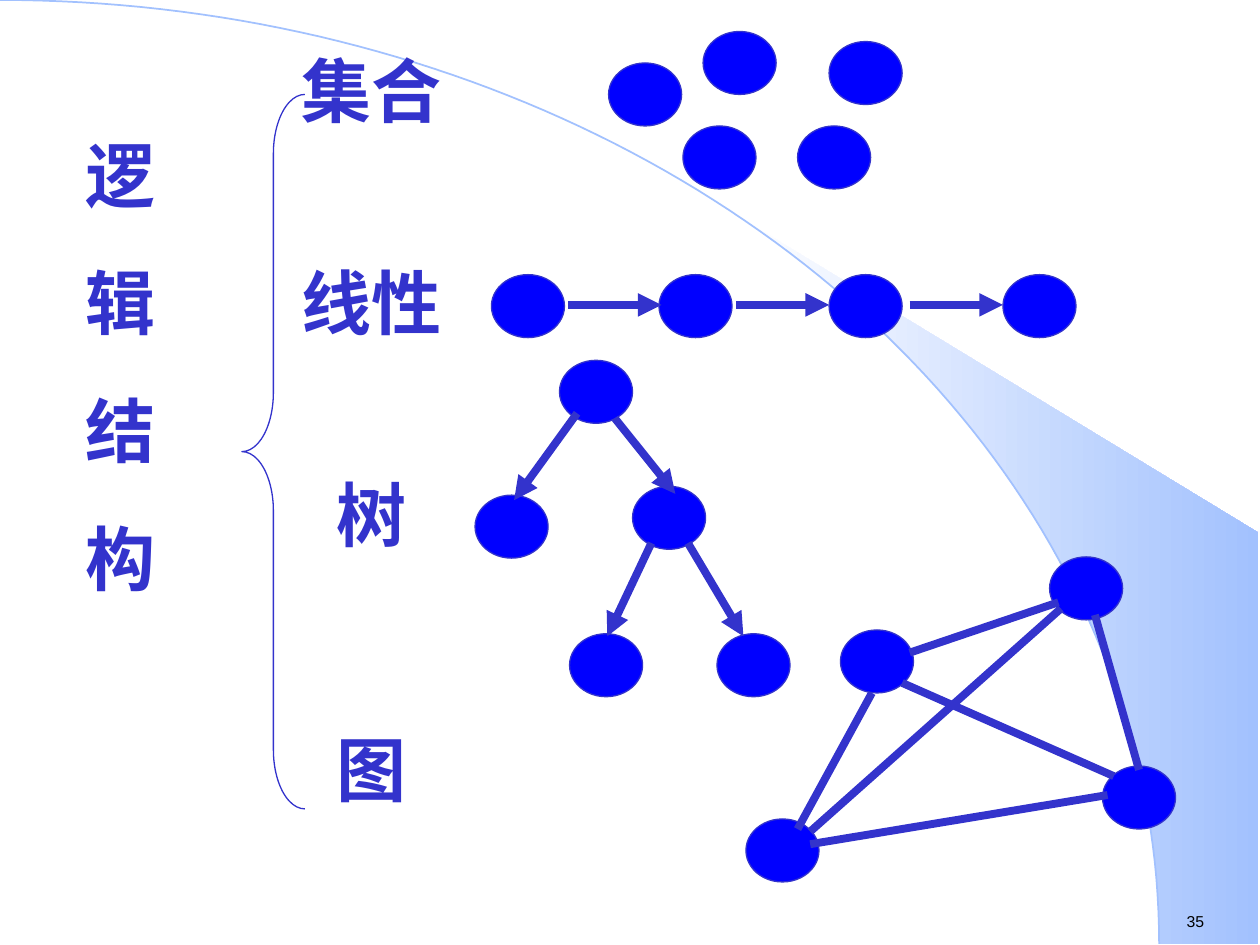
from dataclasses import dataclass
from math import asin, cos, pi, sin

from lxml.etree import SubElement
from pptx import Presentation
from pptx.dml.color import RGBColor as Rgb
from pptx.enum.shapes import MSO_CONNECTOR as Conn, MSO_SHAPE as Shape
from pptx.enum.text import PP_ALIGN as Align
from pptx.oxml.ns import qn
from pptx.util import Inches, Pt

Point = tuple[float, float]
Edge = tuple[Point, Point]


@dataclass(frozen=True)
class Theme:
    ink: Rgb = Rgb(0x33, 0x33, 0xCC)
    node: Rgb = Rgb(0, 0, 0xFF)
    sky: Rgb = Rgb(0xA2, 0xC1, 0xFE)
    white: Rgb = Rgb(0xFF, 0xFF, 0xFF)
    black: Rgb = Rgb(0, 0, 0)
    serif: str = "Times New Roman"
    sans: str = "Arial"
    big: int = 40
    small: int = 9
    thin: float = 0.75
    thick: float = 4.5


@dataclass(frozen=True)
class Graph:
    nodes: list[Point]
    edges: list[Edge]
    arrow: bool = True


@dataclass(frozen=True)
class Label:
    box: tuple[float, float, float, float]
    words: list[str]
    gaps: list[int]


T = Theme()
NODE_W, NODE_H = 0.58, 0.5
ARC_W, ARC_H = 9.2, 7.49

ROW, MID = 2.18, 2.42
GRAPHS = [
    # Set
    Graph([(4.83, 0.5), (5.42, 1), (6.58, 0.33), (5.58, 0.25), (6.33, 1)], []),
    # Tree
    Graph([(5.02, 3.86), (3.77, 3.93), (4.44, 2.86), (5.69, 5.03), (4.52, 5.03)],
          [((4.58, 3.28), (4.08, 3.97)), ((4.88, 3.32), (5.36, 3.92)),
           ((5.17, 4.31), (4.82, 5.05)), ((5.46, 4.31), (5.9, 5.05))]),
    # Network
    Graph([(6.67, 5), (8.75, 6.08), (5.92, 6.5), (8.33, 4.42)],
          [((6.92, 5.5), (6.33, 6.58)), ((8.69, 4.88), (9.04, 6.11)),
           ((8.4, 4.78), (7.22, 5.18)), ((8.79, 6.31), (6.43, 6.7)),
           ((8.42, 4.83), (6.43, 6.6)), ((7.16, 5.42), (8.84, 6.16))],
          arrow=False),
    # Linear list
    Graph([(x, ROW) for x in (3.9, 5.23, 6.58, 7.96)],
          [((x, MID), (x + 0.74, MID)) for x in (4.51, 5.84, 7.22)]),
]
LABELS = [
    Label((0.58, 1, 0.75, 3.81), ["逻", "辑", "结", "构"], [0, 25, 25, 25]),
    Label((1.92, 0.33, 2.05, 6.16), ["集合", "线性", "树", "图"], [0, 73, 73, 98]),
]


def arc(start: float, steps: int) -> list[Point]:
    """Points on the quarter ellipse from x = start to its right end."""
    low = asin(start / ARC_W)
    turns = [low + (pi / 2 - low) * i / steps for i in range(steps + 1)]
    return [(ARC_W * sin(t), ARC_H * (1 - cos(t))) for t in turns]


def outline(slide, dots: list[Point], close: bool):
    pts = [(Inches(x), Inches(y)) for x, y in dots]
    pen = slide.shapes.build_freeform(*pts[0])
    pen.add_line_segments(pts[1:], close=close)
    form = pen.convert_to_shape()
    form.shadow.inherit = False
    return form


def stroke(line, color: Rgb, width: float) -> None:
    line.color.rgb = color
    line.width = Pt(width)


def backdrop(slide) -> None:
    beam = outline(slide, arc(5.89, 30) + [(9.99, ARC_H), (9.99, 4.23)], True)
    beam.fill.gradient()
    beam.fill.gradient_angle = 0
    for stop, color in zip(beam.fill.gradient_stops, (T.white, T.sky)):
        stop.color.rgb = color
    beam.line.fill.background()
    curve = outline(slide, arc(0, 90), False)
    curve.fill.background()
    stroke(curve.line, T.sky, 1)


def brace(slide) -> None:
    form = slide.shapes.add_shape(
        Shape.LEFT_BRACE, Inches(1.92), Inches(0.75), Inches(0.5), Inches(5.67))
    form.adjustments[0] = 0.94
    form.shadow.inherit = False
    form.fill.background()
    stroke(form.line, T.ink, T.thin)


def label(slide, item: Label) -> None:
    frame = slide.shapes.add_textbox(*map(Inches, item.box)).text_frame
    frame.word_wrap = True
    frame.text = "\n".join(item.words)
    for para, gap in zip(frame.paragraphs, item.gaps):
        para.alignment = Align.CENTER
        para.space_before = Pt(gap)
        font = para.runs[0].font
        font.name, font.size, font.bold = T.serif, Pt(T.big), True
        font.color.rgb = T.ink


def node(slide, spot: Point) -> None:
    form = slide.shapes.add_shape(
        Shape.OVAL, *map(Inches, (*spot, NODE_W, NODE_H)))
    form.shadow.inherit = False
    form.fill.solid()
    form.fill.fore_color.rgb = T.node
    stroke(form.line, T.ink, T.thin)


def link(slide, edge: Edge, arrow: bool) -> None:
    ends = map(Inches, (*edge[0], *edge[1]))
    wire = slide.shapes.add_connector(Conn.STRAIGHT, *ends)
    stroke(wire.line, T.ink, T.thick)
    if arrow:
        SubElement(wire.line._get_or_add_ln(), qn("a:tailEnd"), type="triangle")
    SubElement(wire._element.spPr, qn("a:effectLst"))


def number(slide) -> None:
    frame = slide.shapes.add_textbox(
        Inches(9.32), Inches(7.19), Inches(0.77), Inches(0.25)).text_frame
    frame.word_wrap = True
    frame.text = "35"
    font = frame.paragraphs[0].runs[0].font
    font.name, font.size = T.sans, Pt(T.small)
    font.color.rgb = T.black


def main() -> None:
    deck = Presentation()
    deck.slide_width, deck.slide_height = Inches(10), Inches(7.5)
    slide = deck.slides.add_slide(deck.slide_layouts[6])
    # Background and page number
    backdrop(slide)
    number(slide)
    # Brace and labels
    brace(slide)
    for item in LABELS:
        label(slide, item)
    # Diagrams
    for graph in GRAPHS:
        for spot in graph.nodes:
            node(slide, spot)
        for edge in graph.edges:
            link(slide, edge, graph.arrow)
    deck.save("out.pptx")


if __name__ == "__main__":
    main()
